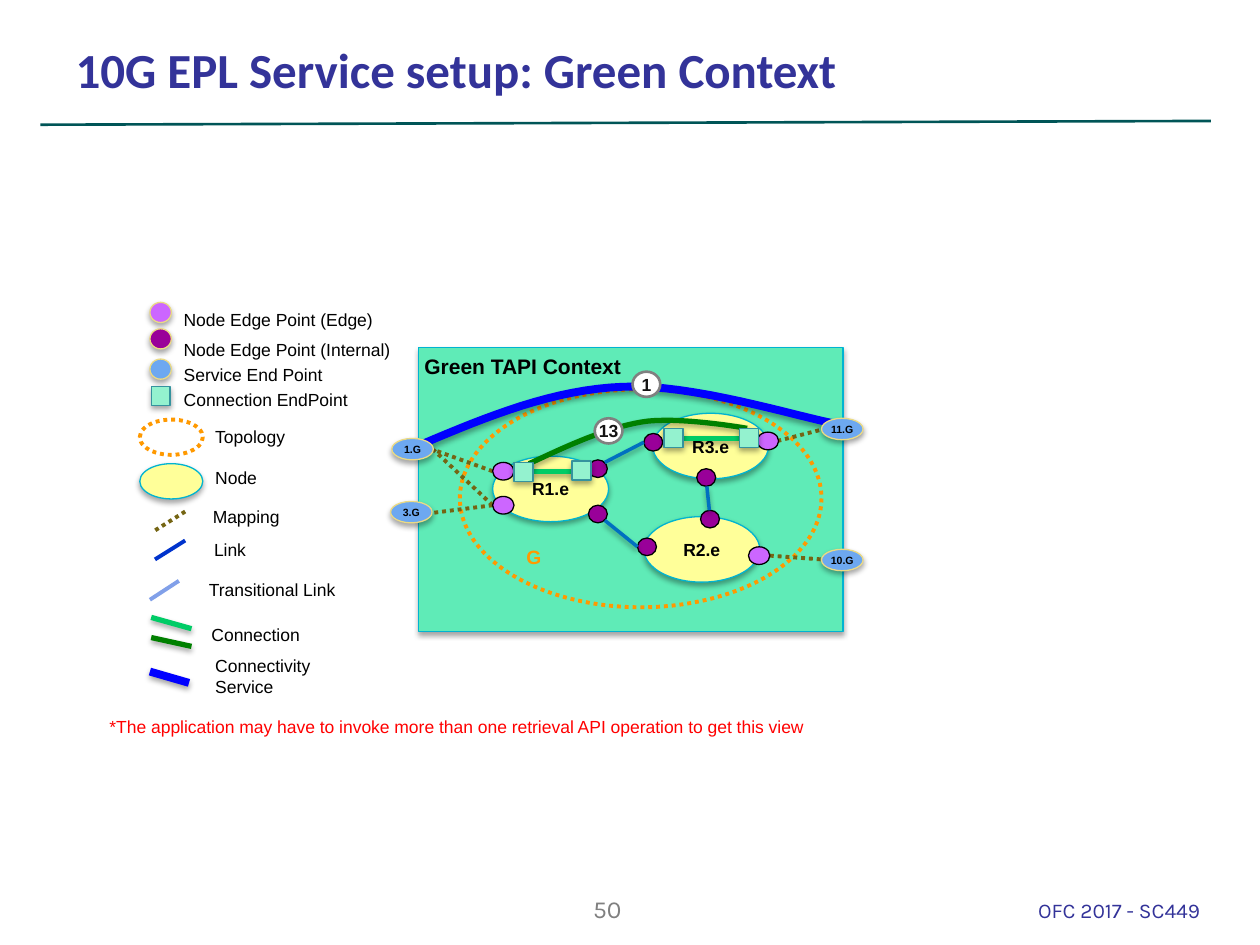
import lxml.etree
import pptx
import pptx.dml.color
import pptx.enum.dml
import pptx.enum.shapes
import pptx.enum.text
import pptx.oxml.ns
import pptx.util
from dataclasses import dataclass
from pptx.util import Inches

Point = tuple[float, float]
SHAPE = pptx.enum.shapes.MSO_SHAPE
ALIGN = pptx.enum.text.PP_ALIGN
ANCHOR = pptx.enum.text.MSO_ANCHOR

COLORS = {
    "rule": "005557", "title": "333399", "panel": "5FEBB7", "node": "FFFF99",
    "outline": "00B4D1", "black": "000000", "white": "FFFFFF", "gray": "808080",
    "badge text": "141313", "note": "FF0000", "service point": "6DA8F0",
    "sand": "EBDA84", "edge": "CC66FF", "internal": "990099",
    "mapping": "756513", "topology": "FF9900", "link": "0070C0",
    "legend link": "0033CC", "transitional": "81A0E9", "endpoint": "94F2CF",
    "endpoint line": "35939E", "connection": "00CC66",
    "top connection": "008000", "service": "0000FF",
}


@dataclass
class Style:
    fill: str | None
    line: str
    width: float = 0.75
    dotted: bool = False
    shadow: bool = False
    kind: int = SHAPE.OVAL


PANEL = Style("panel", "outline", shadow=True, kind=SHAPE.RECTANGLE)
NODE = Style("node", "outline", shadow=True)
SERVICE_POINT = Style("service point", "sand", shadow=True)
EDGE = Style("edge", "black")
INTERNAL = Style("internal", "black")
ENDPOINT = Style("endpoint", "endpoint line", shadow=True, kind=SHAPE.RECTANGLE)
TOPOLOGY = Style(None, "topology", 2.25, dotted=True)
BADGE = Style("white", "gray", 1.5)
RULE = Style(None, "rule", 1.5)
MAPPING = Style(None, "mapping", 2.25, dotted=True)
LINK = Style(None, "link", 2, shadow=True)
LEGEND_LINK = Style(None, "legend link", 2.25)
TRANSITIONAL = Style(None, "transitional", 2.25)
CONNECTION = Style(None, "connection", 3, shadow=True)
TOP_CONNECTION = Style(None, "top connection", 3, shadow=True)
SERVICE = Style(None, "service", 4.5, shadow=True)


def rgb(name: str):
    return pptx.dml.color.RGBColor.from_string(COLORS[name])


def write(shape, text: str, *, size: float = 10, font: str = "Arial",
          color: str = "black", bold: bool = False, align=ALIGN.LEFT,
          anchor=ANCHOR.TOP, wrap: bool = True, side: float = 0.1) -> None:
    frame = shape.text_frame
    frame.text = text
    frame.word_wrap = wrap
    frame.auto_size = pptx.enum.text.MSO_AUTO_SIZE.NONE
    frame.vertical_anchor = anchor
    frame.margin_left = frame.margin_right = Inches(side)
    frame.margin_top = frame.margin_bottom = Inches(0.05)
    paragraph = frame.paragraphs[0]
    paragraph.alignment = align
    paragraph.font.size = pptx.util.Pt(size)
    paragraph.font.name = font
    paragraph.font.bold = bold
    paragraph.font.color.rgb = rgb(color)


def add_label(slide, box: tuple, text: str, **text_format) -> None:
    write(slide.shapes.add_textbox(*map(Inches, box)), text, **text_format)


def apply_outline(shape, style: Style) -> None:
    """Set the line, then the effect list that has to follow it."""
    shape.line.color.rgb = rgb(style.line)
    shape.line.width = pptx.util.Pt(style.width)
    if style.dotted:
        shape.line.dash_style = pptx.enum.dml.MSO_LINE.ROUND_DOT
    qn = pptx.oxml.ns.qn
    effects = lxml.etree.SubElement(shape._element.spPr, qn("a:effectLst"))
    if style.shadow:
        shadow = lxml.etree.SubElement(
            effects, qn("a:outerShdw"), blurRad="40000", dist="23000",
            dir="5400000", rotWithShape="0")
        color = lxml.etree.SubElement(shadow, qn("a:srgbClr"), val=COLORS["black"])
        lxml.etree.SubElement(color, qn("a:alpha"), val="35000")


def add_shape(slide, style: Style, box: tuple, text: str = "", **text_format) -> None:
    shape = slide.shapes.add_shape(style.kind, *map(Inches, box))
    if style.fill:
        shape.fill.solid()
        shape.fill.fore_color.rgb = rgb(style.fill)
    else:
        shape.fill.background()
    apply_outline(shape, style)
    if text:
        write(shape, text, bold=True, align=ALIGN.CENTER, anchor=ANCHOR.MIDDLE,
              **text_format)


def add_line(slide, style: Style, start: Point, end: Point) -> None:
    connector = slide.shapes.add_connector(
        pptx.enum.shapes.MSO_CONNECTOR.STRAIGHT, *map(Inches, start + end))
    apply_outline(connector, style)


def add_curve(slide, style: Style, points: list[Point], steps: int = 16) -> None:
    """Draw joined cubic curves: a start, then three points for each curve."""
    vertices = []
    for first in range(0, len(points) - 1, 3):
        a, b, c, d = points[first:first + 4]
        for step in range(1, steps + 1):
            t = step / steps
            u = 1 - t
            vertices.append(tuple(
                Inches(u**3 * a[i] + 3 * u*u*t * b[i] + 3 * u*t*t * c[i] + t**3 * d[i])
                for i in (0, 1)))
    builder = slide.shapes.build_freeform(*map(Inches, points[0]))
    builder.add_line_segments(vertices, close=False)
    shape = builder.convert_to_shape()
    shape.fill.background()
    apply_outline(shape, style)


def draw_network(slide) -> None:
    # Context panel, nodes and topology
    add_shape(slide, PANEL, (3.32, 2.76, 3.37, 2.25))
    add_shape(slide, NODE, (3.91, 3.62, 0.92, 0.52), "R1.e", side=0.05)
    add_shape(slide, TOPOLOGY, (3.65, 3.09, 2.87, 1.73))
    for name, left, top in (("R3.e", 5.18, 3.28), ("R2.e", 5.11, 4.1)):
        add_shape(slide, NODE, (left, top, 0.92, 0.52), name, side=0.05)
    add_label(slide, (4.08, 4.28, 0.32, 0.29), "G", size=11, color="topology",
              bold=True, wrap=False)
    add_label(slide, (3.27, 2.76, 1.78, 0.3), "Green TAPI Context", size=12,
              bold=True, wrap=False)

    # Mappings, node edge points and links
    for start, end in (((3.91, 3.74), (3.44, 3.57)), ((3.91, 4.01), (3.44, 4.07)),
                       ((3.91, 4.01), (3.44, 3.57)), ((6.17, 3.5), (6.52, 3.41)),
                       ((6.11, 4.41), (6.52, 4.44))):
        add_line(slide, MAPPING, start, end)
    for left, top in ((3.91, 3.67), (3.91, 3.94), (5.94, 4.34), (6.01, 3.43)):
        add_shape(slide, EDGE, (left, top, 0.17, 0.14))
    for left, top in ((4.67, 3.65), (5.11, 3.44), (4.67, 4.01), (5.06, 4.27),
                      (5.56, 4.05), (5.53, 3.72)):
        add_shape(slide, INTERNAL, (left, top, 0.15, 0.14))
    for start, end in (((4.8, 3.67), (5.11, 3.51)), ((4.8, 4.13), (5.06, 4.34)),
                       ((5.63, 4.05), (5.61, 3.86))):
        add_line(slide, LINK, start, end)

    # Connectivity service and connections
    add_curve(slide, SERVICE, [
        (3.36, 3.52), (3.88, 3.3), (4.4, 3.09), (4.94, 3.07), (5.48, 3.04),
        (6.34, 3.31), (6.62, 3.36), (6.9, 3.41), (6.76, 3.39), (6.62, 3.37)])
    add_line(slide, CONNECTION, (4.23, 3.74), (4.54, 3.74))
    add_line(slide, CONNECTION, (5.43, 3.48), (5.87, 3.48))
    add_curve(slide, TOP_CONNECTION, [
        (4.2, 3.68), (4.5, 3.54), (4.8, 3.4), (5.09, 3.35), (5.37, 3.3),
        (5.93, 3.4), (5.93, 3.4)])

    # End points and number badges
    for left, top in ((4.08, 3.67), (4.54, 3.66), (5.27, 3.4), (5.87, 3.4)):
        add_shape(slide, ENDPOINT, (left, top, 0.15, 0.15))
    for name, left, top in (("1.G", 3.11, 3.48), ("3.G", 3.1, 3.98),
                            ("11.G", 6.52, 3.32), ("10.G", 6.52, 4.36)):
        add_shape(slide, SERVICE_POINT, (left, top, 0.33, 0.17), name, size=6, side=0)
    for number, left, top in (("1", 5.02, 2.95), ("13", 4.72, 3.32)):
        add_shape(slide, BADGE, (left, top, 0.22, 0.2), number,
                  color="badge text", wrap=False, side=0)


def draw_legend(slide) -> None:
    for fill, top in (("edge", 2.4), ("internal", 2.61), ("service point", 2.85)):
        add_shape(slide, Style(fill, "sand", shadow=True), (1.19, top, 0.17, 0.16))
    add_shape(slide, ENDPOINT, (1.2, 3.07, 0.15, 0.15))
    add_shape(slide, TOPOLOGY, (1.11, 3.33, 0.5, 0.28))
    add_shape(slide, NODE, (1.11, 3.68, 0.5, 0.28))
    for style, start, end in ((MAPPING, (1.47, 4.06), (1.23, 4.21)),
                              (LEGEND_LINK, (1.47, 4.29), (1.23, 4.44)),
                              (TRANSITIONAL, (1.42, 4.61), (1.19, 4.76)),
                              (CONNECTION, (1.2, 4.9), (1.52, 4.99)),
                              (TOP_CONNECTION, (1.2, 5.06), (1.52, 5.13)),
                              (SERVICE, (1.19, 5.33), (1.5, 5.42))):
        add_line(slide, style, start, end)
    for text, left, top, width, height in (
            ("Node Edge Point (Edge)", 1.36, 2.4, 1.87, 0.2),
            ("Node Edge Point (Internal)", 1.36, 2.64, 1.87, 0.2),
            ("Service End Point", 1.36, 2.84, 1.51, 0.2),
            ("Connection EndPoint", 1.36, 3.04, 1.51, 0.2),
            ("Topology", 1.61, 3.33, 0.92, 0.2), ("Node", 1.61, 3.66, 0.92, 0.2),
            ("Mapping", 1.59, 3.97, 0.91, 0.2), ("Link", 1.6, 4.23, 0.92, 0.2),
            ("Transitional Link", 1.56, 4.55, 1.53, 0.2),
            ("Connection", 1.58, 4.9, 1.12, 0.2),
            ("Connectivity Service", 1.61, 5.15, 1.12, 0.44)):
        add_label(slide, (left, top, width, height), text)


def main() -> None:
    presentation = pptx.Presentation()
    presentation.slide_width, presentation.slide_height = Inches(10), Inches(7.5)
    slide = presentation.slides.add_slide(presentation.slide_layouts[5])

    # Title and rule
    title = slide.shapes.title
    title.left, title.top, title.width, title.height = map(Inches, (0.5, 0.28, 9, 0.55))
    write(title, "10G EPL Service setup: Green Context", size=28, font="Calibri",
          color="title", bold=True, anchor=ANCHOR.BOTTOM)
    add_line(slide, RULE, (0.32, 0.99), (9.61, 0.96))

    draw_network(slide)
    draw_legend(slide)

    # Note and footer
    add_label(slide, (0.77, 5.63, 6.58, 0.27), "*The application may have to invoke "
              "more than one retrieval API operation to get this view", color="note")
    add_label(slide, (4.34, 7.05, 0.96, 0.4), "50", size=14, font="Karla",
              color="gray", align=ALIGN.CENTER)
    add_label(slide, (8.14, 7.07, 1.8, 0.28), "OFC 2017 - SC449", size=12,
              font="Karla", color="title")
    presentation.save("out.pptx")


if __name__ == "__main__":
    main()
